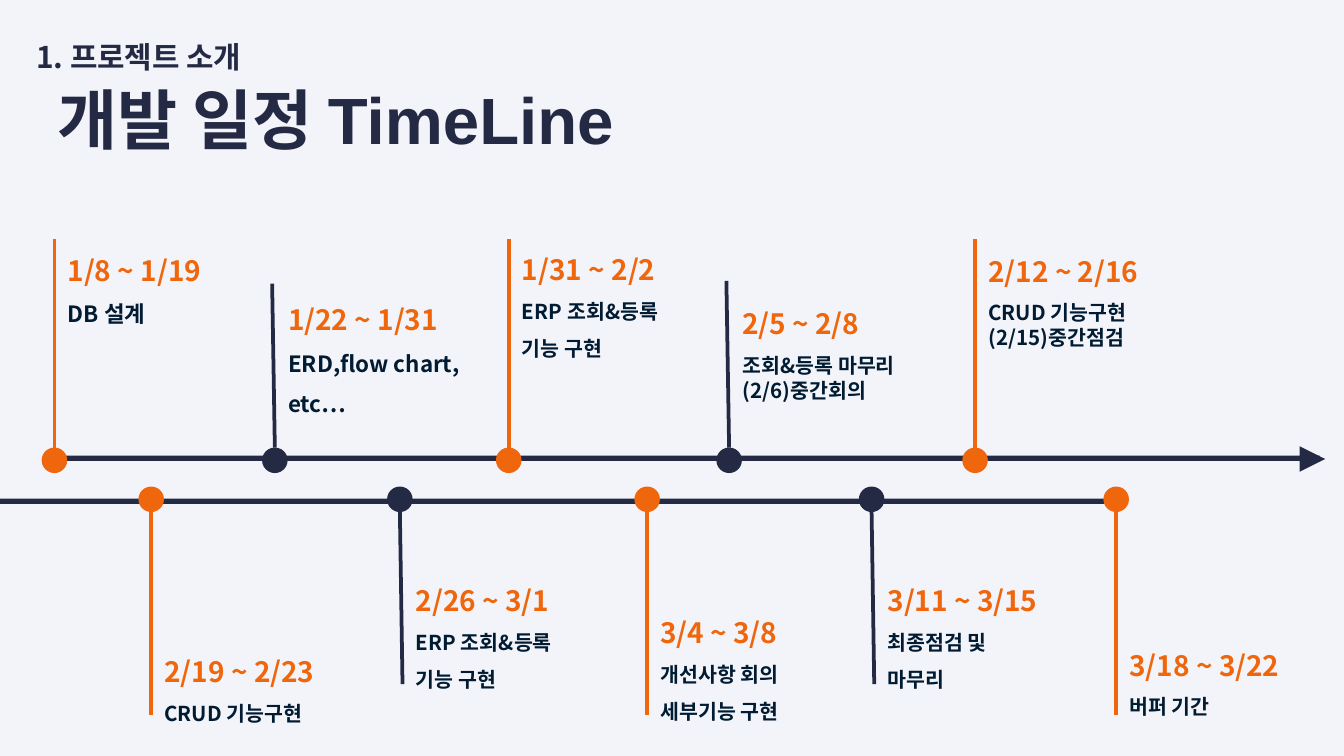
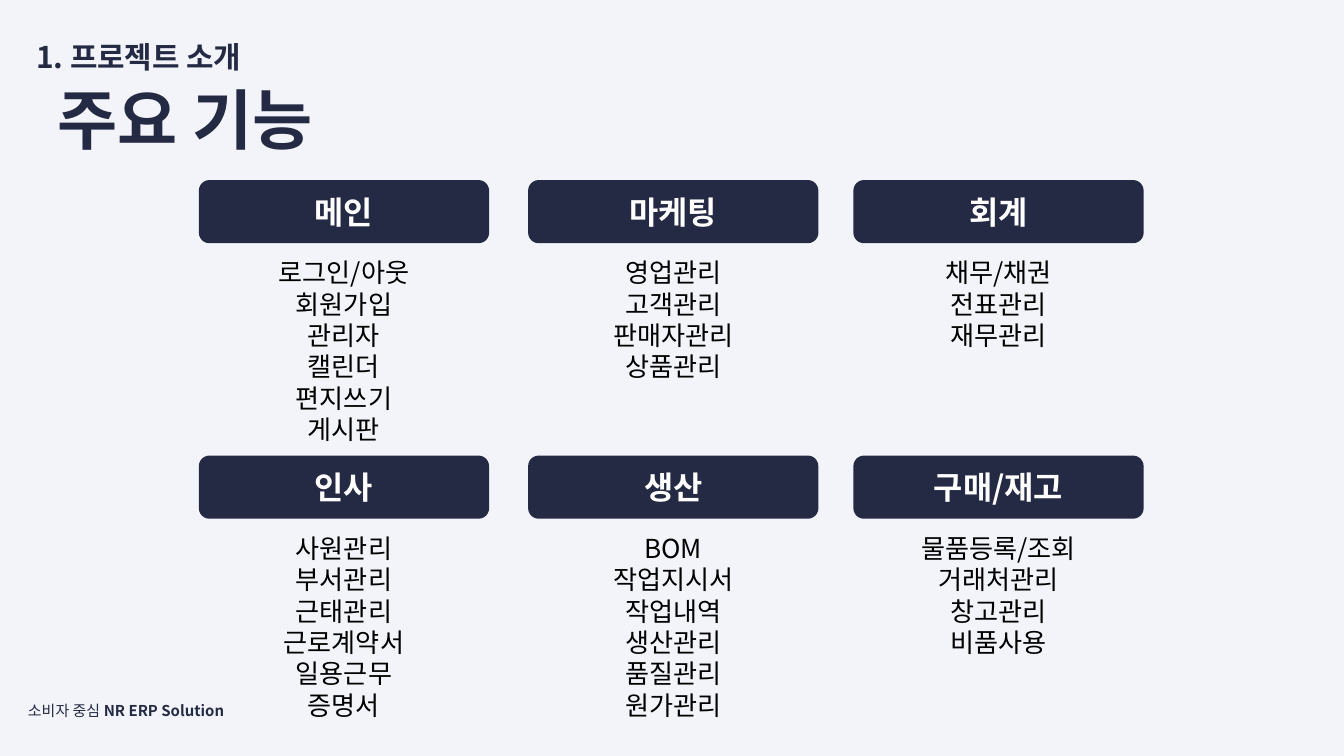
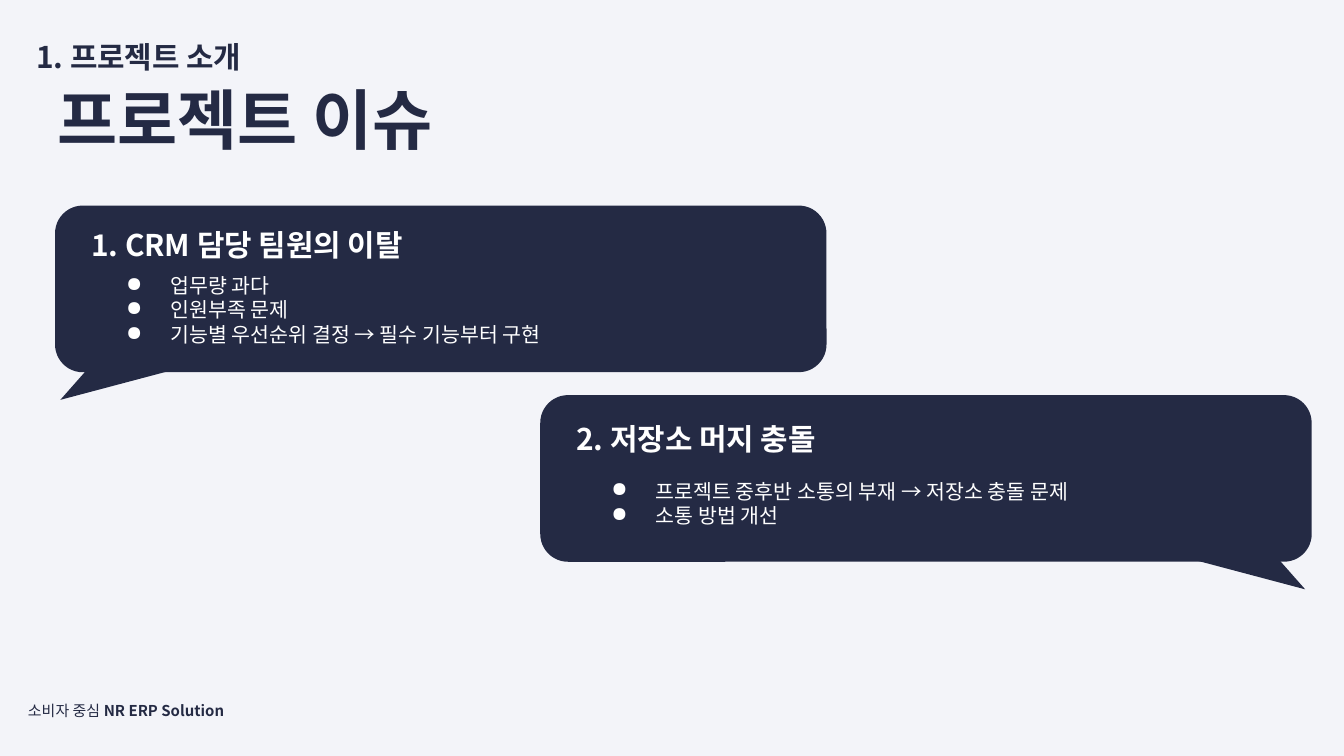
from dataclasses import dataclass

from lxml import etree
from pptx import Presentation
from pptx import util as u
from pptx.dml.color import RGBColor
from pptx.enum import shapes, text
from pptx.oxml.ns import qn

WIDTH, HEIGHT = u.Inches(10), u.Inches(5.625)
COLUMNS = 100  # grid columns across the slide; rows have the same pitch
Kind = shapes.MSO_SHAPE
Box = tuple[float, float, float, float]


@dataclass(frozen=True)
class Theme:
    navy: str = "242A44"
    orange: str = "F0660C"
    ink: str = "001B32"
    black: str = "000000"
    white: str = "FFFFFF"
    paper: str = "F3F4F9"
    font: str = "Noto Sans CJK KR"
    latin_title: str = "Arial"
    title: int = 35
    card: int = 17
    section: int = 16
    date: int = 15
    feature: int = 14
    body: int = 11
    footer: int = 8


THEME = Theme()


@dataclass(frozen=True)
class Milestone:
    center: float
    tip: float
    label_row: float
    label_size: tuple[float, float]
    dates: str
    note: str
    meeting: str = ""
    note_size: int = THEME.body
    middle: bool = False


@dataclass(frozen=True)
class Track:
    dot_row: float
    stem_row: float
    lean: float
    milestones: tuple[Milestone, ...]


@dataclass(frozen=True)
class Issue:
    left: float
    top: float
    drop: float
    points_width: float
    tail_offset: float
    tail_angle: float
    heading: str
    points: str


UPPER = Track(33.3, 33.3, -0.2, (
    Milestone(4.05, 17.8, 17.1, (12.9, 6.8), "1/8 ~ 1/19", "DB 설계", note_size=12),
    Milestone(20.45, 21.1, 20.8, (15.5, 9.8), "1/22 ~ 1/31",
              "ERD,flow chart, etc…", note_size=12),
    Milestone(37.85, 17.8, 17.3, (14.9, 9.8), "1/31 ~ 2/2",
              "ERP 조회&등록 기능 구현", middle=True),
    Milestone(54.25, 20.9, 21.1, (14.9, 9.4), "2/5 ~ 2/8",
              "조회&등록 마무리", "(2/6)중간회의"),
    Milestone(72.55, 17.8, 17.3, (14.9, 9.1), "2/12 ~ 2/16",
              "CRUD 기능구현", "(2/15)중간점검", middle=True),
))
LOWER = Track(36.2, 37.8, 0.2, (
    Milestone(11.25, 53.2, 47, (15.5, 6.7), "2/19 ~ 2/23", "CRUD 기능구현"),
    Milestone(29.75, 50.9, 41.7, (15.5, 9.4), "2/26 ~ 3/1", "ERP 조회&등록\n기능 구현"),
    Milestone(48.15, 53.2, 44.1, (15.5, 9.4), "3/4 ~ 3/8", "개선사항 회의\n세부기능 구현"),
    Milestone(64.85, 50.9, 41.7, (15.5, 9.4), "3/11 ~ 3/15", "최종점검 및\n마무리"),
    Milestone(83.05, 53.2, 46.5, (15.5, 6.7), "3/18 ~ 3/22", "버퍼 기간"),
))
FEATURE_ROWS = (
    (("메인", "로그인/아웃\n회원가입\n관리자\n캘린더\n편지쓰기\n게시판"),
     ("마케팅", "영업관리\n고객관리\n판매자관리\n상품관리"),
     ("회계", "채무/채권\n전표관리\n재무관리")),
    (("인사", "사원관리\n부서관리\n근태관리\n근로계약서\n일용근무\n증명서"),
     ("생산", "BOM\n작업지시서\n작업내역\n생산관리\n품질관리\n원가관리"),
     ("구매/재고", "물품등록/조회\n거래처관리\n창고관리\n비품사용")),
)
ISSUES = (
    Issue(4.1, 15.3, 1.0, 39.7, 1.6, 238.3, "1. CRM 담당 팀원의 이탈",
          "업무량 과다\n인원부족 문제\n기능별 우선순위 결정 → 필수 기능부터 구현"),
    Issue(40.2, 29.4, 1.3, 52.7, 49.7, 121.7, "2. 저장소 머지 충돌",
          "프로젝트 중후반 소통의 부재 → 저장소 충돌 문제\n소통 방법 개선"),
)


def grid(cells: float) -> int:
    return round(cells * WIDTH / COLUMNS)


def color(code: str) -> RGBColor:
    return RGBColor.from_string(code)


def write(frame, words: str, *, size: int, ink: str, bold: bool = False,
          font: str = THEME.font, align=None, spacing: float | None = None,
          bullet: str = "", same_line: bool = False) -> None:
    """Add each line of words as a paragraph, or as a run of the last one."""
    for line in words.split("\n"):
        paragraph = frame.paragraphs[-1]
        if paragraph.runs and not same_line:
            paragraph = frame.add_paragraph()
        if align is not None:
            paragraph.alignment = align
        if spacing is not None:
            paragraph.line_spacing = spacing
        if bullet:
            add_bullet(paragraph, bullet, ink)
        run = paragraph.add_run()
        run.text = line
        run.font.size, run.font.bold, run.font.name = u.Pt(size), bold, font
        run.font.color.rgb = color(ink)
        east_asian = etree.SubElement(run._r.get_or_add_rPr(), qn("a:ea"))
        east_asian.set("typeface", THEME.font)


def add_bullet(paragraph, mark: str, ink: str) -> None:
    properties = paragraph._p.get_or_add_pPr()
    properties.set("marL", str(u.Inches(0.5)))
    properties.set("indent", str(u.Inches(-0.33)))
    tint = etree.SubElement(properties, qn("a:buClr"))
    etree.SubElement(tint, qn("a:srgbClr")).set("val", ink)
    etree.SubElement(properties, qn("a:buChar")).set("char", mark)


def prepare(frame, pad: float, middle: bool):
    frame.word_wrap = True
    frame.margin_left = frame.margin_right = grid(1)
    frame.margin_top = frame.margin_bottom = grid(pad)
    frame.vertical_anchor = text.MSO_ANCHOR.MIDDLE if middle else text.MSO_ANCHOR.TOP
    return frame


def text_area(slide, box: Box, pad: float = 1, middle: bool = False, grow: bool = False):
    frame = slide.shapes.add_textbox(*map(grid, box)).text_frame
    if grow:
        frame.auto_size = text.MSO_AUTO_SIZE.SHAPE_TO_FIT_TEXT
    return prepare(frame, pad, middle)


def solid(slide, kind, box: Box, fill: str = THEME.navy, angle: float = 0):
    shape = slide.shapes.add_shape(kind, *map(grid, box))
    shape.shadow.inherit = False
    shape.fill.solid()
    shape.fill.fore_color.rgb = color(fill)
    shape.line.fill.background()
    shape.rotation = angle
    return shape


def stem(slide, start: tuple[float, float], end: tuple[float, float], ink: str) -> None:
    line = slide.shapes.add_connector(shapes.MSO_CONNECTOR.STRAIGHT,
                                      *map(grid, start + end))
    line.line.color.rgb = color(ink)
    line.line.width = u.Pt(2)
    etree.SubElement(line._element.spPr, qn("a:effectLst"))


def new_slide(deck, title: str, title_font: str = THEME.font, footer: bool = True):
    slide = deck.slides.add_slide(deck.slide_layouts[6])
    write(text_area(slide, (1.7, 1.9, 27.3, 3.8)), "1. 프로젝트 소개",
          size=THEME.section, ink=THEME.navy, bold=True)
    write(text_area(slide, (3.3, 4.9, 70.6, 7.9), grow=True), title,
          size=THEME.title, ink=THEME.navy, bold=True, font=title_font)
    if footer:
        area = text_area(slide, (1.1, 51.5, 22.9, 3.8))
        write(area, "소비자 중심 ", size=THEME.footer, ink=THEME.navy)
        write(area, "NR ERP Solution", size=THEME.footer, ink=THEME.navy,
              bold=True, same_line=True)
    return slide


def draw_track(slide, track: Track) -> None:
    """Draw dots, stems and labels; every second milestone is navy and leans."""
    dot = 1.9
    for index, stop in enumerate(track.milestones):
        navy = index % 2 == 1
        ink = THEME.navy if navy else THEME.orange
        tip = stop.center + (track.lean if navy else 0)
        solid(slide, Kind.OVAL, (stop.center - dot / 2, track.dot_row, dot, dot), ink)
        stem(slide, (stop.center, track.stem_row), (tip, stop.tip), ink)
        label = text_area(slide, (max(stop.center, tip), stop.label_row, *stop.label_size),
                          pad=0.5, middle=stop.middle, grow=not stop.middle)
        write(label, stop.dates, size=THEME.date, ink=THEME.orange, bold=True, spacing=1.5)
        write(label, stop.note, size=stop.note_size, ink=THEME.ink, bold=True, spacing=1.5)
        if stop.meeting:
            write(label, stop.meeting, size=stop.note_size, ink=THEME.ink, bold=True)


def timeline_slide(deck) -> None:
    slide = new_slide(deck, "개발 일정 TimeLine", THEME.latin_title, footer=False)
    solid(slide, Kind.RECTANGLE, (3.2, 33.9, 95, 0.4))
    solid(slide, Kind.RECTANGLE, (0, 37.1, 83.7, 0.4))
    solid(slide, Kind.ISOSCELES_TRIANGLE, (96.7, 33.2, 1.9, 1.9), angle=90)
    for track in (UPPER, LOWER):
        draw_track(slide, track)


def features_slide(deck) -> None:
    slide = new_slide(deck, "주요 기능")
    width, header, pitch = 21.6, 4.7, 20.5
    center = text.PP_ALIGN.CENTER
    for row, cards in enumerate(FEATURE_ROWS):
        top = 13.4 + row * pitch
        for left, (name, features) in zip((14.8, 39.3, 63.5), cards):
            card = solid(slide, Kind.ROUNDED_RECTANGLE, (left, top, width, header))
            write(prepare(card.text_frame, 1, True), name, size=THEME.card,
                  ink=THEME.white, bold=True, align=center)
            write(text_area(slide, (left, top + header, width, 15.9)), features,
                  size=THEME.feature, ink=THEME.black, align=center)


def issues_slide(deck) -> None:
    slide = new_slide(deck, "프로젝트 이슈")
    for issue in ISSUES:
        solid(slide, Kind.ISOSCELES_TRIANGLE,
              (issue.left + issue.tail_offset, issue.top + 6.9, 6, 9.9),
              angle=issue.tail_angle)
        solid(slide, Kind.ROUNDED_RECTANGLE, (issue.left, issue.top, 57.4, 12.4))
        heading_row = issue.top + issue.drop
        write(text_area(slide, (issue.left + 1.7, heading_row, 49.4, 3.8), middle=True),
              issue.heading, size=THEME.section, ink=THEME.white, bold=True)
        write(text_area(slide, (issue.left + 2.6, heading_row + 3.7,
                                issue.points_width, 6.1), middle=True),
              issue.points, size=THEME.body, ink=THEME.white, bullet="●")


def main() -> None:
    deck = Presentation()
    deck.slide_width, deck.slide_height = WIDTH, HEIGHT
    backdrop = deck.slide_master.background.fill
    backdrop.solid()
    backdrop.fore_color.rgb = color(THEME.paper)
    timeline_slide(deck)
    features_slide(deck)
    issues_slide(deck)
    deck.save("out.pptx")


if __name__ == "__main__":
    main()
